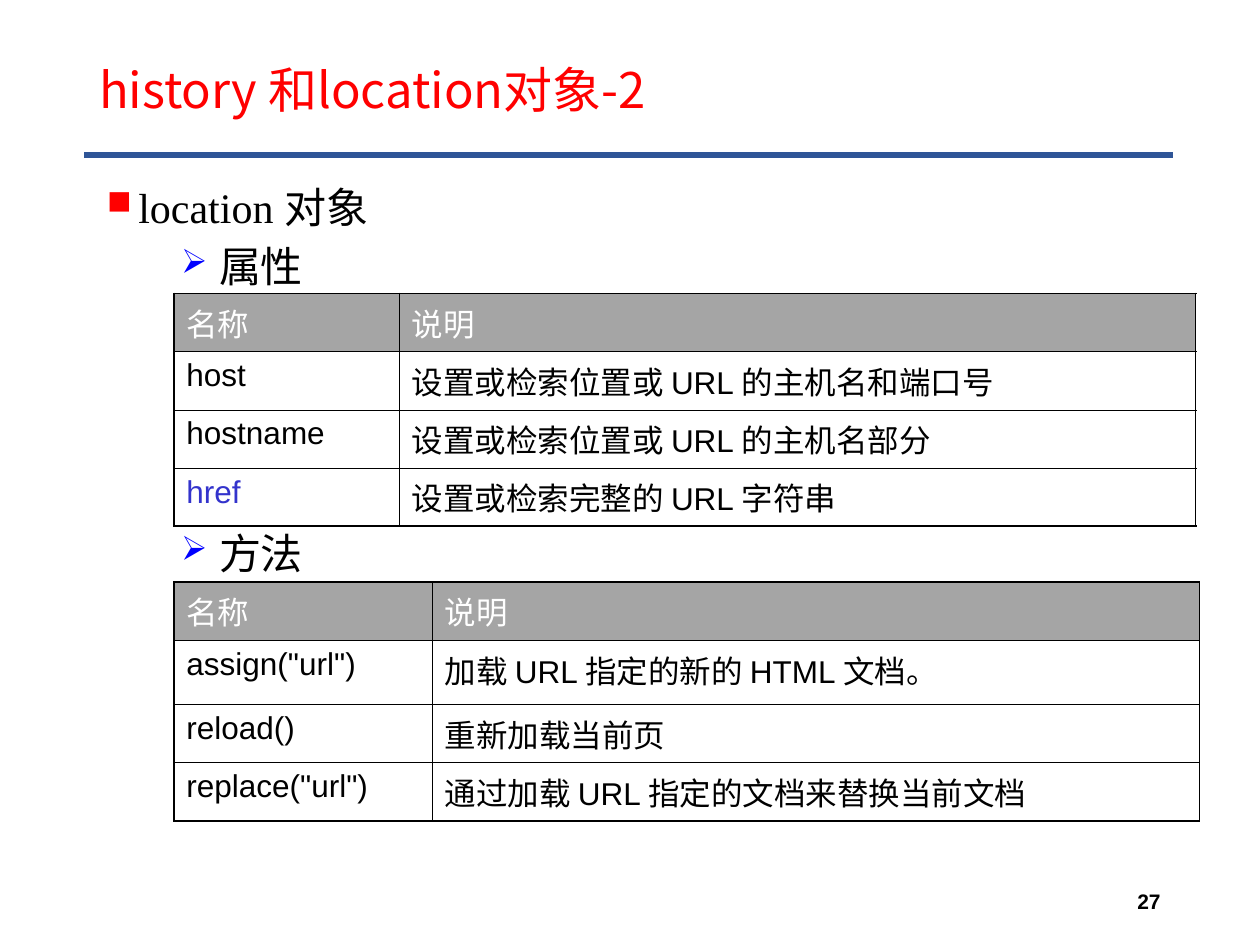
"""Build the slide on the history and location objects."""
from lxml import etree
from pptx import Presentation
from pptx import util as u
from pptx.dml.color import RGBColor
from pptx.enum import shapes, text
from pptx.oxml.ns import qn

THEME = {
    "cjk": "Noto Sans CJK SC", "serif": "Times New Roman", "sans": "Arial",
    "title": 28, "body": 24, "cell": 18, "number": 12,
    "red": "FF0000", "blue": "0000FF", "rule": "2F5597", "black": "000000",
    "white": "FFFFFF", "header": "A5A5A5", "accent": "3333CC",
    "outer": 1.08, "inner": 0.45,
}

prs = Presentation()
prs.slide_width, prs.slide_height = u.Inches(10), u.Inches(7.5)
COL, ROW = prs.slide_width / 100, prs.slide_height / 75
s = prs.slides.add_slide(prs.slide_layouts[6])


def grid(left, top, width, height):
    return [round(v * unit) for v, unit in zip((left, top, width, height), (COL, ROW) * 2)]


def write(p, words, face, size, color, bold=False, **layout):
    for name, value in layout.items():
        setattr(p, name, value)
    r = p.add_run()
    r.text = words
    for name, value in {"name": THEME[face], "size": u.Pt(THEME[size]), "bold": bold}.items():
        setattr(r.font, name, value)
    r.font.color.rgb = RGBColor.from_string(THEME[color])
    etree.SubElement(r.font._element, qn("a:ea"), typeface=THEME["cjk"])


sp = s.shapes.add_connector(shapes.MSO_CONNECTOR.STRAIGHT, *grid(6.7, 12.3, 93.1, 12.3))
sp.line.color.rgb = RGBColor.from_string(THEME["rule"])
sp.line.width = u.Pt(3)
etree.SubElement(sp._element.spPr, qn("a:effectLst"))

frames = {}
for name, box, anchor in [
    ("title", (6.9, 4, 86.3, 6.7), text.MSO_ANCHOR.MIDDLE),
    ("body", (7.5, 13.9, 89, 55.6), text.MSO_ANCHOR.TOP),
    ("number", (70.6, 69.5, 22.5, 4), text.MSO_ANCHOR.MIDDLE),
]:
    tf = frames[name] = s.shapes.add_textbox(*grid(*box)).text_frame
    tf.word_wrap, tf.vertical_anchor = True, anchor

write(frames["title"].paragraphs[0], "history 和location对象-2", "cjk", "title", "red",
      line_spacing=0.9)
write(frames["number"].paragraphs[0], "27", "sans", "number", "black", bold=True,
      alignment=text.PP_ALIGN.RIGHT)

tf = frames["body"]
for i, (words, level, bullet, color, margin, hang, before) in enumerate([
    ("location 对象", 0, "■", "red", 2.5, 2.5, 0),
    ("属性", 1, "➢", "blue", 8.9, 3, 5),
    ("方法", 1, "➢", "blue", 8.9, 3, 135),
]):
    p = tf.add_paragraph() if i else tf.paragraphs[0]
    pPr = p._p.get_or_add_pPr()
    pPr.set("marL", str(round(margin * COL)))
    pPr.set("indent", str(round(-hang * COL)))
    etree.SubElement(etree.SubElement(pPr, qn("a:buClr")), qn("a:srgbClr"), val=THEME[color])
    etree.SubElement(pPr, qn("a:buSzPct"), val="80000")
    etree.SubElement(pPr, qn("a:buChar"), char=bullet)
    write(p, words, "serif", "body", "black", level=level, line_spacing=1.0,
          space_before=u.Pt(before))

HEADER = ("名称", "说明")
properties = [
    HEADER,
    ("host", "设置或检索位置或 URL 的主机名和端口号"),
    ("hostname", "设置或检索位置或 URL 的主机名部分"),
    ("href", "设置或检索完整的 URL 字符串"),
]
methods = [
    HEADER,
    ('assign("url")', "加载 URL 指定的新的 HTML 文档。"),
    ("reload()", "重新加载当前页"),
    ('replace("url")', "通过加载 URL 指定的文档来替换当前文档"),
]

for rows, top, widths, heights in [
    (properties, 23.3, (17.9, 63.2), (4.62, 4.62, 4.62, 4.62)),
    (methods, 46.2, (20.5, 60.9), (4.62, 5.1, 4.62, 4.62)),
]:
    box = grid(13.8, top, sum(widths), sum(heights))
    table = s.shapes.add_table(len(rows), len(widths), *box).table
    table.first_row = table.horz_banding = False
    for column, width in zip(table.columns, widths):
        column.width = round(width * COL)
    for row, height in zip(table.rows, heights):
        row.height = round(height * ROW)
    for i, row in enumerate(rows):
        for j, words in enumerate(row):
            cell = table.cell(i, j)
            edges = {"lnL": j == 0, "lnR": j == len(row) - 1,
                     "lnT": i == 0, "lnB": i == len(rows) - 1}
            for side, is_outer in edges.items():
                width = u.Pt(THEME["outer" if is_outer else "inner"])
                ln = etree.SubElement(cell._tc.get_or_add_tcPr(), qn(f"a:{side}"), w=str(width))
                fill = etree.SubElement(ln, qn("a:solidFill"))
                etree.SubElement(fill, qn("a:srgbClr"), val=THEME["black"])
            cell.fill.solid()
            cell.fill.fore_color.rgb = RGBColor.from_string(THEME["white" if i else "header"])
            p = cell.text_frame.paragraphs[0]
            if i == 0:
                write(p, words, "cjk", "cell", "white")
            else:
                color = "accent" if words == "href" else "black"
                write(p, words, "sans", "cell", color, alignment=text.PP_ALIGN.JUSTIFY)

prs.save("out.pptx")
